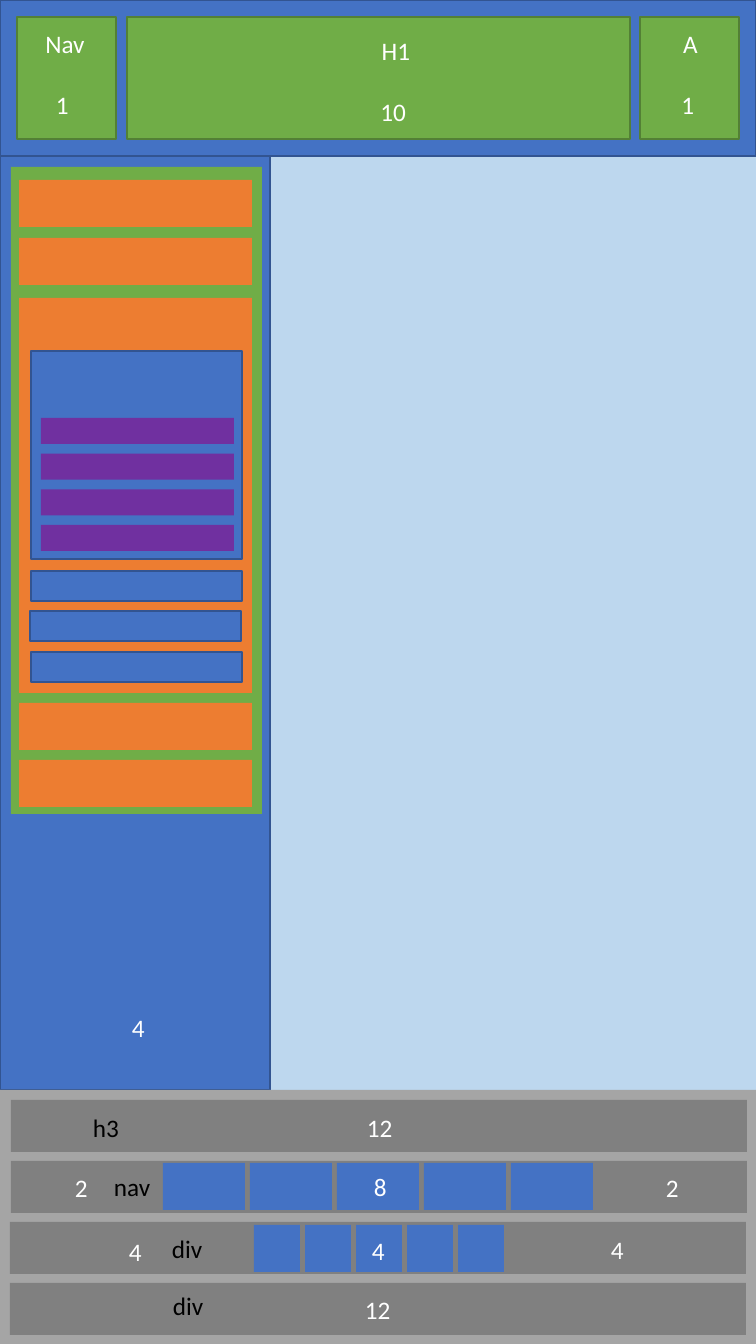
from dataclasses import dataclass

from pptx import Presentation
from pptx import util as u
from pptx.dml import color
from pptx.enum import shapes, text

PIXEL = u.Inches(1) / 100.8
PAGE_WIDTH, PAGE_HEIGHT = 756, 1344
HEADER_HEIGHT, FOOTER_TOP = 156, 1090


@dataclass(frozen=True)
class Theme:
    """Colours and type of the wireframe."""
    blue: str = "4472C4"
    blue_edge: str = "325491"
    green: str = "70AD47"
    green_edge: str = "538035"
    orange: str = "ED7D31"
    purple: str = "7030A0"
    sky: str = "BDD7EE"
    silver: str = "A5A5A5"
    grey: str = "808080"
    white: str = "FFFFFF"
    black: str = "000000"
    font: str = "Calibri"
    size: int = 18
    blank_line: int = 22
    edge_width: int = 1


THEME = Theme()

# Header cards: left, width
HEADER_CARDS = [(17, 99), (127, 503), (640, 99)]
# Header titles: left, top, width, name, columns
HEADER_TITLES = [(19, 23, 92, "Nav", "1 "), (370, 30, 52, "H1", "10 "),
                 (671, 23, 39, "A", "1 ")]

# Side menu: top, height of each entry
MENU_ITEMS = [(180, 47), (238, 47), (298, 395), (703, 47), (760, 47)]
# Submenu: left, top, height
SUBMENU_ITEMS = [(31, 351, 208), (31, 571, 30), (30, 611, 30), (31, 652, 30)]
SUBMENU_LINKS = 4

# Footer rows: left edge of each
FOOTER_ROWS = [11, 11, 10, 10]
# Footer links: first left, top, width, pitch
FOOTER_LINKS = [(163, 1163, 82, 87), (254, 1225, 46, 51)]
LINKS_PER_ROW = 5

# Labels: left, top, wording
COLUMN_COUNTS = [(65, 1167, "2"), (656, 1167, "2"), (364, 1166, "8"),
                 (119, 1231, "4"), (601, 1229, "4"), (362, 1230, "4"),
                 (357, 1107, "12"), (355, 1289, "12"), (122, 1007, "4")]
TAG_NAMES = [(83, 1107, "h3"), (104, 1166, "nav"),
             (162, 1228, "div"), (163, 1285, "div")]


def px(*lengths):
    """Turn pixels into EMU."""
    return [u.Emu(round(length * PIXEL)) for length in lengths]


def add_block(page, left, top, width, height, fill, edge=None):
    """Draw a flat rectangle, outlined when an edge colour is given."""
    block = page.shapes.add_shape(shapes.MSO_SHAPE.RECTANGLE,
                                  *px(left, top, width, height))
    block.shadow.inherit = False
    block.fill.solid()
    block.fill.fore_color.rgb = color.RGBColor.from_string(fill)
    if edge:
        block.line.color.rgb = color.RGBColor.from_string(edge)
        block.line.width = u.Pt(THEME.edge_width)
    else:
        block.line.fill.background()


def add_label(page, left, top, width, height, lines, ink, centred=False):
    """Write lines of text, one blank line's space apart."""
    box = page.shapes.add_textbox(*px(left, top, width, height))
    frame = box.text_frame
    frame.word_wrap = True
    frame.auto_size = text.MSO_AUTO_SIZE.SHAPE_TO_FIT_TEXT
    frame.text = "\n".join(lines)
    for index, para in enumerate(frame.paragraphs):
        para.font.name = THEME.font
        para.font.size = u.Pt(THEME.size)
        para.font.color.rgb = color.RGBColor.from_string(ink)
        if centred:
            para.alignment = text.PP_ALIGN.CENTER
        if index:
            para.space_before = u.Pt(THEME.blank_line)


def draw_header(page):
    """Draw the top band with its three titled cards."""
    add_block(page, 0, 0, PAGE_WIDTH, HEADER_HEIGHT, THEME.blue, THEME.blue_edge)
    for left, width in HEADER_CARDS:
        add_block(page, left, 17, width, 122, THEME.green, THEME.green_edge)
    for left, top, width, *lines in HEADER_TITLES:
        add_label(page, left, top, width, 102, lines, THEME.white, centred=True)


def draw_main(page):
    """Draw the content area and the side menu with its nested levels."""
    height = FOOTER_TOP - HEADER_HEIGHT
    add_block(page, 0, HEADER_HEIGHT, PAGE_WIDTH, height, THEME.sky)
    add_block(page, 0, HEADER_HEIGHT, 270, height, THEME.blue, THEME.blue_edge)
    add_block(page, 11, 167, 251, 647, THEME.green)
    for top, item_height in MENU_ITEMS:
        add_block(page, 19, top, 233, item_height, THEME.orange)
    for left, top, item_height in SUBMENU_ITEMS:
        add_block(page, left, top, 211, item_height, THEME.blue, THEME.blue_edge)
    for index in range(SUBMENU_LINKS):
        add_block(page, 41, 418 + 35.67 * index, 193, 26, THEME.purple)


def draw_footer(page):
    """Draw the footer rows and the links inside them."""
    add_block(page, 0, FOOTER_TOP, PAGE_WIDTH, PAGE_HEIGHT - FOOTER_TOP,
              THEME.silver)
    for index, left in enumerate(FOOTER_ROWS):
        add_block(page, left, 1100 + 61 * index, 736, 52, THEME.grey)
    for first, top, width, pitch in FOOTER_LINKS:
        for index in range(LINKS_PER_ROW):
            add_block(page, first + pitch * index, top, width, 47, THEME.blue)


def draw_labels(page):
    """Write the column counts and the tag names."""
    for labels, width, ink in ((COLUMN_COUNTS, 48, THEME.white),
                               (TAG_NAMES, 67, THEME.black)):
        for left, top, wording in labels:
            add_label(page, left, top, width, 40, [wording], ink)


def main():
    """Build and save the deck."""
    deck = Presentation()
    deck.slide_width, deck.slide_height = px(PAGE_WIDTH, PAGE_HEIGHT)
    page = deck.slides.add_slide(deck.slide_layouts[6])
    for draw in (draw_main, draw_header, draw_footer, draw_labels):
        draw(page)
    deck.save("out.pptx")


main()
